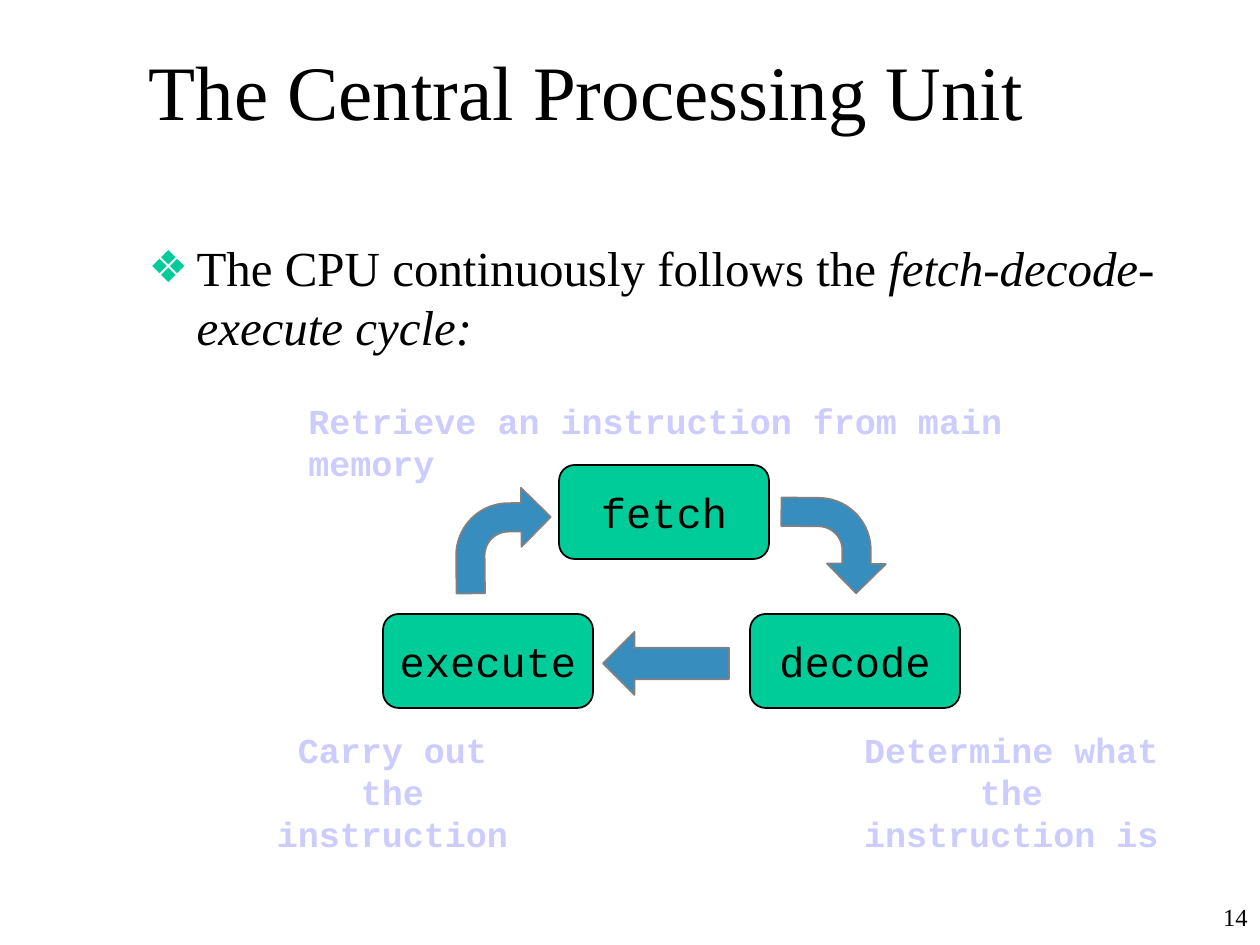
from dataclasses import dataclass

from lxml.etree import SubElement
from pptx import Presentation
from pptx.dml.color import RGBColor as RGB
from pptx.enum.shapes import MSO_SHAPE as SHAPE
from pptx.enum.text import MSO_ANCHOR as ANCHOR, MSO_AUTO_SIZE as AUTO, PP_ALIGN as ALIGN
from pptx.oxml.ns import qn
from pptx.util import Emu, Inches, Pt

PX = Inches(1) / 126


@dataclass(frozen=True)
class Theme:
    serif: str = "Times New Roman"
    mono: str = "Courier New"
    ink: str = "000000"
    node: str = "00CC99"
    arrow: str = "378DBD"
    arrow_line: str = "808080"
    note: str = "CCCCFF"
    paper: str = "FFFFFF"
    title_size: float = 44
    body_size: float = 28
    node_size: float = 24
    note_size: float = 20
    number_size: float = 14
    line: float = 0.99


@dataclass(frozen=True)
class Box:
    x: int
    y: int
    w: int
    h: int

    def emu(self) -> list[Emu]:
        return [Emu(round(v * PX)) for v in (self.x, self.y, self.w, self.h)]


@dataclass(frozen=True)
class Node:
    text: str
    x: int
    y: int


@dataclass(frozen=True)
class Arrow:
    kind: SHAPE
    box: Box
    adjust: tuple[float, ...]
    turn: float = 0


@dataclass(frozen=True)
class Note:
    lines: tuple[str, ...]
    box: Box
    align: ALIGN = ALIGN.CENTER
    filled: bool = False


T = Theme()
BEND = (0.3, 0.31, 0.31, 0.55)
NODES = [Node("fetch", 559, 465), Node("decode", 750, 614), Node("execute", 383, 614)]
ARROWS = [
    Arrow(SHAPE.BENT_ARROW, Box(456, 488, 95, 105), BEND, 359.4),
    Arrow(SHAPE.BENT_ARROW, Box(786, 493, 95, 105), BEND, 90.6),
    Arrow(SHAPE.LEFT_ARROW, Box(603, 632, 126, 63), (0.5, 0.5)),
]
NOTES = [
    Note(("Retrieve an instruction from main memory",), Box(296, 393, 779, 55), ALIGN.LEFT, True),
    Note(("Determine what the", "instruction is"), Box(822, 722, 379, 97)),
    Note(("Carry out the", "instruction"), Box(264, 722, 257, 97)),
]


def place(s, box: Box) -> None:
    s.left, s.top, s.width, s.height = box.emu()


def add_run(p, text: str, size: float, font: str, color: str = T.ink,
            bold: bool = False, italic: bool = False) -> None:
    r = p.add_run()
    r.text = text
    f = r.font
    f.size, f.name, f.bold, f.italic = Pt(size), font, bold, italic
    f.color.rgb = RGB.from_string(color)


def frame(s, anchor: ANCHOR = ANCHOR.TOP, wrap: bool = True):
    tf = s.text_frame
    tf.word_wrap, tf.auto_size, tf.vertical_anchor = wrap, AUTO.NONE, anchor
    return tf


def paint(s, fill: str, line: str) -> None:
    s.shadow.inherit = False
    s.fill.solid()
    s.fill.fore_color.rgb = RGB.from_string(fill)
    s.line.color.rgb = RGB.from_string(line)
    s.line.width = Pt(T.line)


def set_bullet(p, char: str, color: str, percent: int, indent: int) -> None:
    ppr = p._p.get_or_add_pPr()
    ppr.set("marL", str(round(indent * PX)))
    ppr.set("indent", str(-round(indent * PX)))
    SubElement(SubElement(ppr, qn("a:buClr")), qn("a:srgbClr")).set("val", color)
    SubElement(ppr, qn("a:buSzPct")).set("val", str(percent * 1000))
    SubElement(ppr, qn("a:buChar")).set("char", char)


def add_node(shapes, node: Node) -> None:
    s = shapes.add_shape(SHAPE.ROUNDED_RECTANGLE, *Box(node.x, node.y, 210, 94).emu())
    paint(s, T.node, T.ink)
    p = frame(s, ANCHOR.MIDDLE, wrap=False).paragraphs[0]
    p.alignment = ALIGN.CENTER
    add_run(p, node.text, T.node_size, T.mono)


def add_arrow(shapes, arrow: Arrow) -> None:
    s = shapes.add_shape(arrow.kind, *arrow.box.emu())
    for i, value in enumerate(arrow.adjust):
        s.adjustments[i] = value
    s.rotation = arrow.turn
    paint(s, T.arrow, T.arrow_line)


def add_note(shapes, note: Note) -> None:
    s = shapes.add_textbox(*note.box.emu())
    if note.filled:
        s.fill.solid()
        s.fill.fore_color.rgb = RGB.from_string(T.paper)
    tf = frame(s)
    for i, line in enumerate(note.lines):
        p = tf.add_paragraph() if i else tf.paragraphs[0]
        p.alignment = note.align
        add_run(p, line, T.note_size, T.mono, T.note, bold=True)


prs = Presentation()
prs.slide_width, prs.slide_height = Inches(10), Inches(7.5)
slide = prs.slides.add_slide(prs.slide_layouts[1])
shapes = slide.shapes

title, body = slide.placeholders
place(title, Box(136, 43, 1092, 94))
p = frame(title, ANCHOR.MIDDLE).paragraphs[0]
p.alignment = ALIGN.LEFT
add_run(p, "The Central Processing Unit", T.title_size, T.serif)

place(body, Box(136, 231, 1092, 152))
p = frame(body).paragraphs[0]
p.line_spacing, p.space_before = 1.0, Pt(24.5)
set_bullet(p, "❖", T.node, 90, 48)
add_run(p, "The CPU continuously follows the ", T.body_size, T.serif)
add_run(p, "fetch-decode-execute cycle:", T.body_size, T.serif, italic=True)

for note in NOTES:
    add_note(shapes, note)
for arrow in ARROWS:
    add_arrow(shapes, arrow)
for node in NODES:
    add_node(shapes, node)

number = shapes.add_textbox(*Box(1205, 896, 55, 49).emu())
p = frame(number).paragraphs[0]
p.alignment = ALIGN.RIGHT
add_run(p, "14", T.number_size, T.serif)

prs.save("out.pptx")
